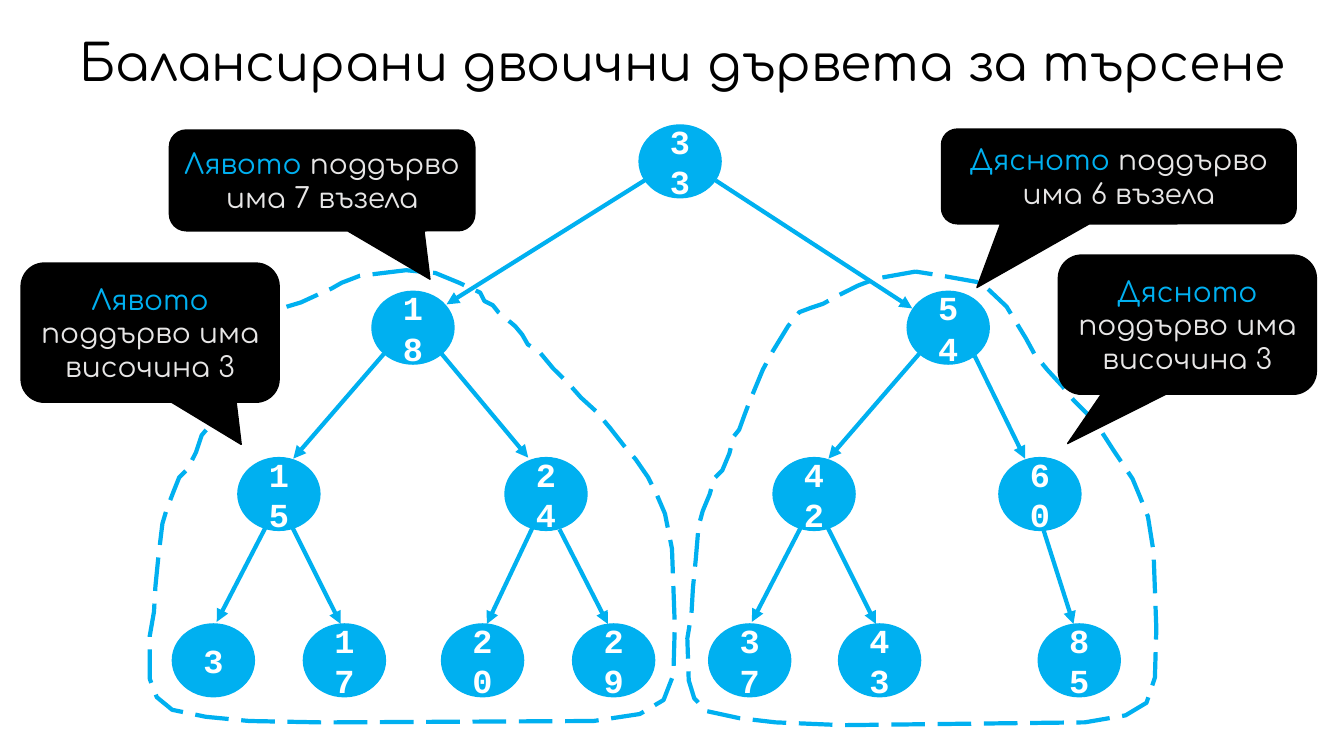
from typing import NamedTuple

from lxml.etree import SubElement
from pptx import Presentation
from pptx.dml.color import RGBColor
from pptx.enum.dml import MSO_LINE
from pptx.enum.shapes import MSO_CONNECTOR, MSO_SHAPE
from pptx.enum.text import MSO_ANCHOR, PP_ALIGN
from pptx.oxml.ns import qn
from pptx.util import Pt

BLUE, BLACK, WHITE, GREY = "00B0F0", "000000", "FFFFFF", "E7E6E6"
SANS, MONO = "Comfortaa", "Courier New"
TOP, STEP = 89.3, 118.8  # first tree level and distance between levels
WIDE, HIGH = 58.6, 52


class Node(NamedTuple):
    key: int
    x: float
    level: int


class Edge(NamedTuple):
    x1: float
    y1: float
    x2: float
    y2: float


class Note(NamedTuple):
    x: float
    y: float
    w: float
    h: float
    tip: tuple[float, float]
    head: str
    rest: str


NODES = [
    Node(33, 456.5, 0),
    Node(18, 265.7, 1), Node(54, 648, 1),
    Node(15, 169.9, 2), Node(24, 360.7, 2), Node(42, 552.2, 2), Node(60, 713.5, 2),
    Node(3, 123.1, 3), Node(17, 216.7, 3), Node(20, 315.4, 3), Node(29, 409, 3),
    Node(37, 506.2, 3), Node(43, 599, 3), Node(85, 741.6, 3),
]
EDGES = [
    Edge(461.5, 128.2, 319, 217.4), Edge(511.2, 128.9, 651.6, 220.3),
    Edge(274.3, 252.7, 209.5, 327.6), Edge(315.4, 252.7, 377.3, 326.9),
    Edge(656.6, 252.7, 591.8, 327.6), Edge(696.2, 254.2, 732.2, 327.6),
    Edge(189.4, 377.3, 154.8, 444.2), Edge(208.8, 376.6, 243.4, 445.7),
    Edge(380.2, 377.3, 347.8, 445.7), Edge(399.6, 378, 434.2, 445.7),
    Edge(571.7, 377.3, 537.1, 444.2), Edge(591.1, 376.6, 625.7, 445.7),
    Edge(745.2, 378, 766.8, 445.7),
]
NOTES = [
    Note(121, 92.9, 218.2, 72, (0.353, 0.98), "Лявото", " поддърво има 7 възела"),
    Note(672.5, 92.2, 253.4, 67.7, (-0.4, 1.172), "Дясното", " поддърво има 6 възела"),
    Note(756, 182.2, 184.3, 99.4, (-0.464, 0.854), "Дясното", " поддърво има височина 3"),
    Note(15.1, 187.9, 184.3, 99.4, (0.353, 0.803), "Лявото", " поддърво има височина 3"),
]

# Subtree borders share one run of points and differ at the upper right
Points = list[tuple[float, float]]
BODY: Points = [
    (654.5, 194.4), (625.7, 198.7), (613.4, 203.8), (607, 207.4), (599, 211),
    (588.2, 217.4), (578.9, 220.3), (571, 223.2), (563, 232.6), (552.2, 251.3),
    (545, 263.5), (540, 275.8), (535, 288), (532, 296), (528.5, 306.7),
    (524.2, 312.5), (520.6, 324), (515.5, 336.2), (510.5, 342), (506.9, 352.8),
    (501.8, 365), (499, 375.8), (496.8, 400.3), (494.6, 420.5), (493.9, 438.5),
    (491, 455.8), (491.8, 486), (496, 499), (505.4, 508.3), (527.5, 513),
    (554.4, 516.2), (601.9, 517.7), (774.7, 516.2), (804.2, 511.2), (819.4, 501.8),
    (825.1, 483.8), (825.8, 448.6), (824.4, 393.8), (820.1, 368.6), (814.3, 354.2),
    (809.3, 342), (801.4, 329.8), (794.9, 321.1), (785.5, 307.4), (776.2, 295.2),
    (766.8, 285.8), (758.9, 276.5), (748.1, 264.2),
]
RIGHT: Points = [(738.7, 253.4), (733, 241.9), (719.3, 218.9), (701.3, 201.6), (673.2, 196.6)]
LEFT: Points = [
    (385.2, 251.3), (377.3, 245.5), (373, 239), (367.9, 233.3), (355.7, 223.2),
    (352.1, 218.2), (346.3, 214.6), (342.7, 208.8), (328.3, 201.6), (311, 195.1),
]


def paint(target, color: str) -> None:
    target.solid()
    target.fore_color.rgb = RGBColor.from_string(color)


def write(shape, text: str, *, size: float, font: str, color: str, bold: bool = False) -> None:
    frame = shape.text_frame
    frame.word_wrap = True
    frame.vertical_anchor = MSO_ANCHOR.MIDDLE
    para = frame.paragraphs[0]
    para.alignment = PP_ALIGN.CENTER
    run = para.add_run()
    run.text = text
    run.font.size, run.font.name, run.font.bold = Pt(size), font, bold
    paint(run.font.fill, color)


def block(shapes, kind: MSO_SHAPE, x: float, y: float, w: float, h: float, color: str):
    shape = shapes.add_shape(kind, Pt(x), Pt(y), Pt(w), Pt(h))
    shape.shadow.inherit = False
    paint(shape.fill, color)
    paint(shape.line.fill, color)
    shape.line.width = Pt(1)
    return shape


def border(shapes, points: Points):
    pen = shapes.build_freeform(*points[0], scale=Pt(1))
    pen.add_line_segments(points[1:], close=True)
    shape = pen.convert_to_shape()
    shape.shadow.inherit = False
    shape.fill.background()
    paint(shape.line.fill, BLUE)
    shape.line.width = Pt(3)
    shape.line.dash_style = MSO_LINE.LONG_DASH
    return shape


def draw_node(shapes, node: Node) -> None:
    shape = block(shapes, MSO_SHAPE.OVAL, node.x, TOP + STEP * node.level, WIDE, HIGH, BLUE)
    write(shape, str(node.key), size=24, font=MONO, color=WHITE, bold=True)


def draw_edge(shapes, edge: Edge) -> None:
    line = shapes.add_connector(MSO_CONNECTOR.STRAIGHT, *map(Pt, edge))
    paint(line.line.fill, BLUE)
    line.line.width = Pt(3)
    SubElement(line.line._get_or_add_ln(), qn("a:tailEnd"), type="triangle")
    SubElement(line._element.spPr, qn("a:effectLst"))


def draw_note(shapes, note: Note) -> None:
    kind = MSO_SHAPE.ROUNDED_RECTANGULAR_CALLOUT
    shape = block(shapes, kind, note.x, note.y, note.w, note.h, BLACK)
    shape.adjustments[0], shape.adjustments[1] = note.tip
    write(shape, note.head, size=20, font=SANS, color=BLUE)
    write(shape, note.rest, size=20, font=SANS, color=GREY)


def main() -> None:
    deck = Presentation()
    deck.slide_width, deck.slide_height = Pt(960), Pt(540)
    shapes = deck.slides.add_slide(deck.slide_layouts[6]).shapes

    # Subtree borders
    border(shapes, BODY + RIGHT)
    wide = [(106.6 + (x - 491) * 1.12, y - 1.4) for x, y in BODY]
    left = border(shapes, wide + LEFT)
    paint(left.fill, WHITE)
    tone = left._element.spPr.find(qn("a:solidFill"))[0]
    SubElement(tone, qn("a:alpha"), val="40000")

    # Title
    title = shapes.add_textbox(Pt(15.1), Pt(2.9), Pt(945), Pt(87.1))
    write(title, "Балансирани двоични дървета за търсене", size=36, font=SANS, color=BLACK)
    title.text_frame.paragraphs[0].line_spacing = 0.9

    # Tree
    tree = shapes.add_group_shape().shapes
    for node in NODES:
        draw_node(tree, node)
    for edge in EDGES:
        draw_edge(tree, edge)

    # Callouts
    for note in NOTES:
        draw_note(shapes, note)

    deck.save("out.pptx")


if __name__ == "__main__":
    main()
